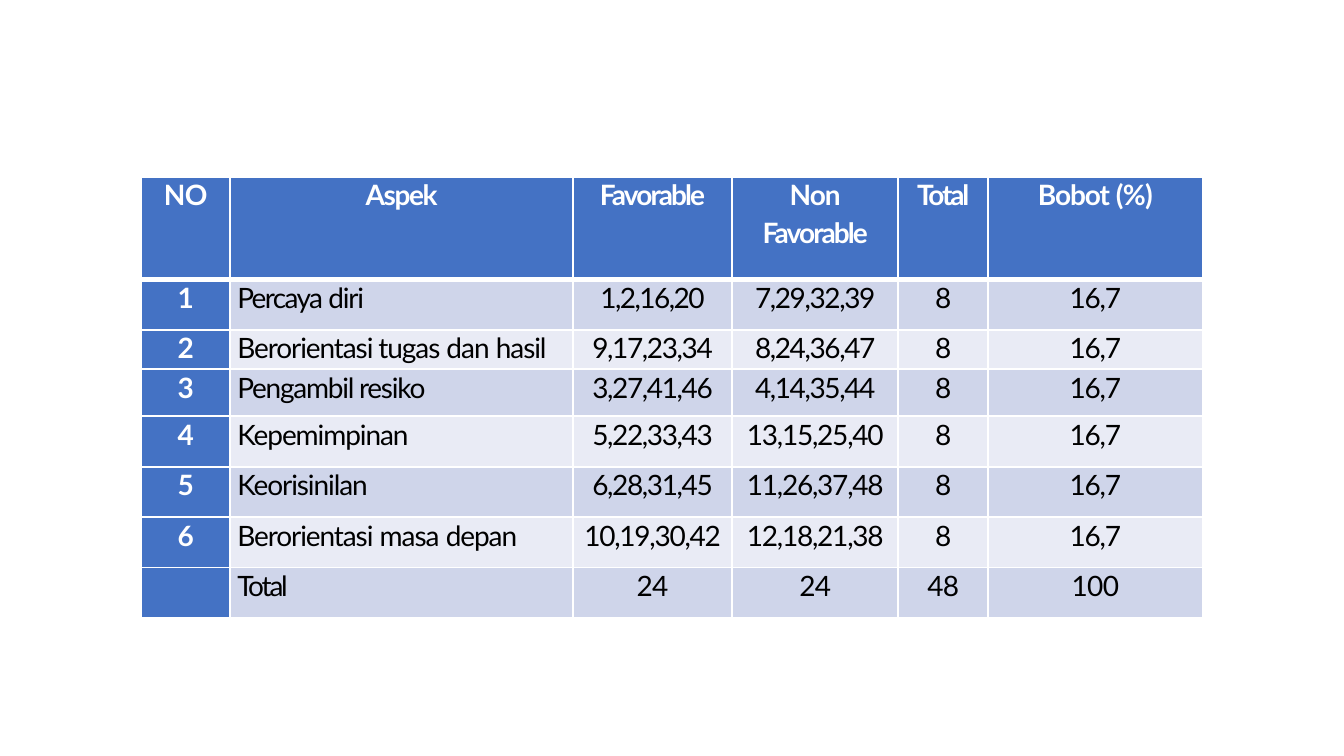
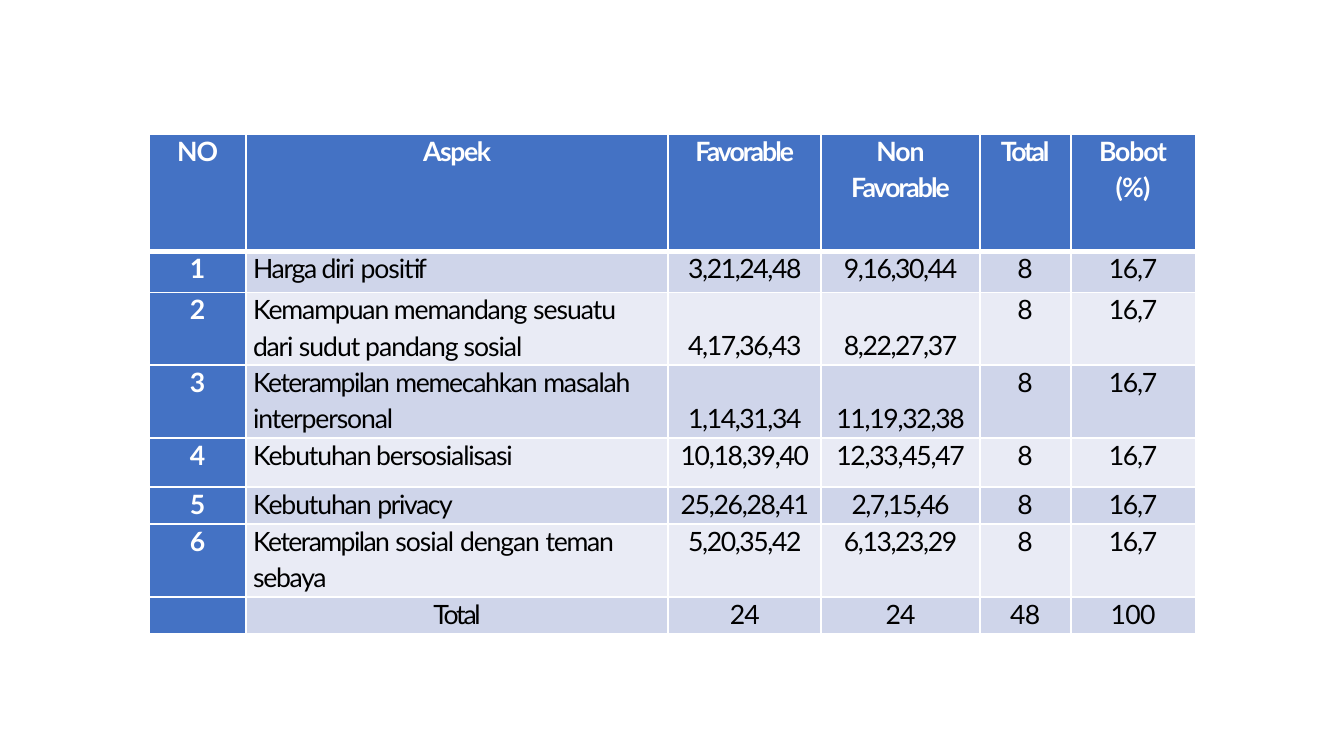
from dataclasses import dataclass
from itertools import groupby

from lxml.etree import SubElement
from pptx import Presentation
from pptx.dml.color import RGBColor
from pptx.enum.text import MSO_ANCHOR, PP_ALIGN as Align
from pptx.oxml.ns import qn
from pptx.util import Cm, Pt

# Shared look
COLORS = {
    "accent": "4472C4",
    "band_dark": "CFD5EA",
    "band_light": "E9EBF5",
    "white": "FFFFFF",
    "black": "000000",
}
FONT = "Lato"
THIN, THICK = Pt(1.5), Pt(4.25)
TOP_MARGIN, LOWERED_MARGIN = Cm(0.03), Cm(0.94)
TEXT_INDENT = Cm(0.18)

# Letter spacing in points: numbers by length, words by name
NUMBER_SPACING = {1: 0, 2: -0.5, 3: -0.5, 4: -0.9, 9: -1.1, 10: -1, 11: -0.9}
DEFAULT_SPACING = -0.8
SPACING_GROUPS = {
    -0.5: "NO (%)",
    -0.7: "Non dan masa sesuatu sudut pandang sosial",
    -0.9: "diri Pengambil resiko Harga dari memecahkan teman sebaya",
    -1: "Aspek privacy",
    -1.1: "Keterampilan",
    -1.2: "Percaya",
    -1.4: "Favorable",
    -1.6: "Total",
}
WORD_SPACING = {
    word: spacing for spacing, words in SPACING_GROUPS.items() for word in words.split()
}


@dataclass
class Aspect:
    name: str
    favorable: str
    non_favorable: str
    lowered: bool = False  # item numbers sit on the second line


@dataclass
class Blueprint:
    left: float
    top: float
    columns: list[float]
    rows: list[float]
    font_size: int
    weight_title: str
    total_align: Align
    aspects: list[Aspect]


BLUEPRINTS = [
    Blueprint(
        3.56, 4.45,
        [2.24, 8.64, 4.01, 4.19, 2.26, 5.41],
        [2.59, 1.27, 0.99, 1.19, 1.27, 1.27, 1.27, 1.27],
        20, "Bobot (%)", Align.LEFT,
        [
            Aspect("Percaya diri", "1,2,16,20", "7,29,32,39"),
            Aspect("Berorientasi tugas dan hasil", "9,17,23,34", "8,24,36,47"),
            Aspect("Pengambil resiko", "3,27,41,46", "4,14,35,44"),
            Aspect("Kepemimpinan", "5,22,33,43", "13,15,25,40"),
            Aspect("Keorisinilan", "6,28,31,45", "11,26,37,48"),
            Aspect("Berorientasi masa depan", "10,19,30,42", "12,18,21,38"),
        ],
    ),
    Blueprint(
        3.76, 3.38,
        [2.44, 10.64, 3.86, 3.99, 2.29, 3.15],
        [2.95, 1.04, 1.83, 1.83, 1.24, 0.94, 1.83, 0.94],
        19, "Bobot\n(%)", Align.CENTER,
        [
            Aspect("Harga diri positif", "3,21,24,48", "9,16,30,44"),
            Aspect("Kemampuan memandang sesuatu\ndari sudut pandang sosial",
                   "4,17,36,43", "8,22,27,37", lowered=True),
            Aspect("Keterampilan memecahkan masalah\ninterpersonal",
                   "1,14,31,34", "11,19,32,38", lowered=True),
            Aspect("Kebutuhan bersosialisasi", "10,18,39,40", "12,33,45,47"),
            Aspect("Kebutuhan privacy", "25,26,28,41", "2,7,15,46"),
            Aspect("Keterampilan sosial dengan teman\nsebaya", "5,20,35,42", "6,13,23,29"),
        ],
    ),
]


def color(name: str) -> RGBColor:
    return RGBColor.from_string(COLORS[name])


def letter_spacing(word: str) -> float:
    if word[0].isdigit():
        return NUMBER_SPACING[len(word)]
    return WORD_SPACING.get(word, DEFAULT_SPACING)


def set_borders(cell, row: int) -> None:
    """White lines, with a thick one under the header row."""
    properties = cell._tc.get_or_add_tcPr()
    widths = {
        "a:lnL": THIN,
        "a:lnR": THIN,
        "a:lnT": THICK if row == 1 else THIN,
        "a:lnB": THICK if row == 0 else THIN,
    }
    for tag, width in widths.items():
        line = SubElement(properties, qn(tag), w=str(int(width)))
        fill = SubElement(line, qn("a:solidFill"))
        SubElement(fill, qn("a:srgbClr"), val=COLORS["white"])


def write_text(cell, text: str, size: int, align: Align, heading: bool) -> None:
    cell.text_frame.text = text
    for index, paragraph in enumerate(cell.text_frame.paragraphs):
        words = paragraph.text.split()
        paragraph.clear()
        paragraph.alignment = align
        paragraph.space_before = Pt(3.1 if index else 1)
        groups = [(spacing, " ".join(group)) for spacing, group in groupby(words, letter_spacing)]
        for position, (spacing, part) in enumerate(groups, start=1):
            run = paragraph.add_run()
            run.text = part if position == len(groups) else part + " "
            run.font.name = FONT
            run.font.size = Pt(size)
            run.font.bold = heading
            run.font.color.rgb = color("white" if heading else "black")
            run._r.get_or_add_rPr().set("spc", str(round(spacing * 100)))


def table_rows(blueprint: Blueprint) -> list[list[str]]:
    header = ["NO", "Aspek", "Favorable", "Non\nFavorable", "Total", blueprint.weight_title]
    body = [
        [str(number), aspect.name, aspect.favorable, aspect.non_favorable, "8", "16,7"]
        for number, aspect in enumerate(blueprint.aspects, start=1)
    ]
    return [header, *body, ["", "Total", "24", "24", "48", "100"]]


def draw_table(slide, blueprint: Blueprint) -> None:
    rows = table_rows(blueprint)
    table = slide.shapes.add_table(
        len(rows), len(blueprint.columns), Cm(blueprint.left), Cm(blueprint.top),
        Cm(sum(blueprint.columns)), Cm(sum(blueprint.rows)),
    ).table
    for column, width in zip(table.columns, blueprint.columns):
        column.width = Cm(width)
    for table_row, height in zip(table.rows, blueprint.rows):
        table_row.height = Cm(height)

    lowered_rows = {row for row, aspect in enumerate(blueprint.aspects, start=1) if aspect.lowered}
    last_row = len(rows) - 1
    for row, texts in enumerate(rows):
        for column, text in enumerate(texts):
            cell = table.cell(row, column)
            heading = row == 0 or column == 0
            align = Align.CENTER
            if column == 1 and row > 0:
                align = blueprint.total_align if row == last_row else Align.LEFT
            lowered = row in lowered_rows and column in (2, 3)

            # Cell frame and fill
            cell.margin_left = TEXT_INDENT if align == Align.LEFT else 0
            cell.margin_right = cell.margin_bottom = 0
            cell.margin_top = LOWERED_MARGIN if lowered else TOP_MARGIN
            cell.vertical_anchor = MSO_ANCHOR.TOP
            set_borders(cell, row)
            band = "band_dark" if row % 2 else "band_light"
            cell.fill.solid()
            cell.fill.fore_color.rgb = color("accent" if heading else band)

            write_text(cell, text, blueprint.font_size, align, heading)


def main() -> None:
    presentation = Presentation()
    presentation.slide_width = Cm(33.87)
    presentation.slide_height = Cm(19.05)
    blank_layout = presentation.slide_layouts[6]
    for blueprint in BLUEPRINTS:
        draw_table(presentation.slides.add_slide(blank_layout), blueprint)
    presentation.save("out.pptx")


if __name__ == "__main__":
    main()
